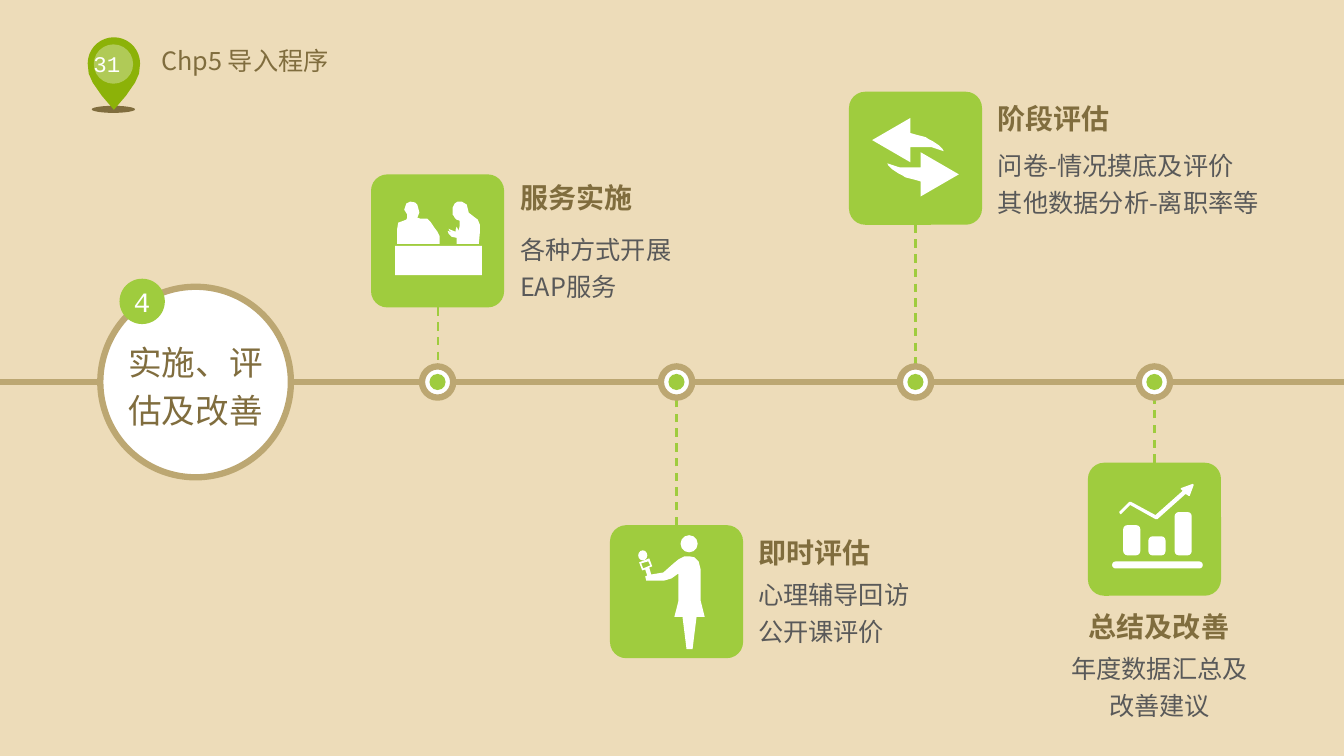
import math

from lxml import etree
from pptx import Presentation
from pptx.dml.color import RGBColor
from pptx.enum import dml, shapes, text
from pptx.oxml.ns import qn
from pptx.util import Inches, Pt

WIDTH, HEIGHT = 13.33, 7.5
AXIS_Y = 3.79
FIRST_X, STEP = 4.34, 2.37
TILE = 1.32
MARKER, DOT = 0.31, 0.16
UNIT = 0.01  # icon outlines are measured in hundredths of an inch from the tile corner
FINE = 10  # outline points are stored as whole tenths of a unit
COLORS = {"sand": "EDDCB9", "brown": "806D3E", "tan": "BCA772", "green": "9FCC3E",
          "pin": "8CB208", "white": "FFFFFF", "gray": "595959"}
CJK, MONO = "Noto Sans CJK SC", "Courier New"
OVAL = shapes.MSO_SHAPE.OVAL
ROUNDED = shapes.MSO_SHAPE.ROUNDED_RECTANGLE
RECTANGLE = shapes.MSO_SHAPE.RECTANGLE
CENTER = text.PP_ALIGN.CENTER

LISTENER = [(68, 61), (66, 57), (63, 53), (61, 50), (59, 47), (56, 44), (49, 44), (46, 43),
            (48, 38), (47, 34), (46, 30), (44, 28), (39, 27), (35, 29), (33, 35), (36, 40),
            (36, 43), (35, 45), (27, 48), (26, 54), (26, 69), (68, 69)]
SPEAKER = [(106, 45), (102, 42), (97, 38), (96, 34), (95, 30), (90, 27), (86, 27), (83, 29),
           (81, 33), (81, 40), (82, 41), (83, 43), (85, 45), (88, 46), (88, 51), (87, 56),
           (85, 52), (84, 55), (84, 57), (79, 55), (77, 54), (78, 56), (81, 58), (76, 56),
           (77, 59), (80, 62), (85, 63), (85, 69), (107, 69), (108, 58), (108, 50)]
REPORTER = [(90, 75), (90, 44), (88, 36), (84, 32), (79, 31), (74, 31), (68, 34), (62, 39),
            (53, 47), (41, 49), (39, 42), (42, 41), (39, 33), (29, 37), (32, 45), (35, 44),
            (37, 50), (35, 51), (36, 55), (54, 55), (61, 53), (68, 48), (68, 75), (64, 91),
            (72, 91), (76, 123), (82, 123), (86, 91), (94, 91)]
MICROPHONE_GAP = [(31, 38), (38, 36), (40, 40), (33, 43)]
ARROW = [(76, 45), (68, 43), (61, 41), (61, 26), (23, 48), (61, 70), (61, 55), (82, 55),
         (88, 57), (94, 59), (93, 57), (89, 53), (86, 51), (83, 49), (79, 47)]
TREND = [(33, 51), (42, 42), (67, 56), (69, 56), (97, 31), (100, 33), (101, 33), (105, 22),
         (104, 21), (93, 25), (92, 26), (94, 28), (67, 52), (43, 39), (41, 39), (31, 49),
         (32, 51)]


def color(name):
    return RGBColor.from_string(COLORS[name])


def paint(shape, fill, line=None):
    shape.shadow.inherit = False
    shape.fill.solid()
    shape.fill.fore_color.rgb = color(fill)
    if line:
        shape.line.color.rgb = color(line)
        shape.line.width = Pt(4.5)
    else:
        shape.line.fill.background()
    return shape


def add_preset(slide, kind, box, fill, line=None, corner=None):
    shape = slide.shapes.add_shape(kind, *map(Inches, box))
    if corner is not None:
        shape.adjustments[0] = corner
    return paint(shape, fill, line)


def add_centered(slide, kind, x, y, size, fill, line=None):
    return add_preset(slide, kind, (x - size / 2, y - size / 2, size, size), fill, line)


def add_outline(slide, left, top, contours, fill="white"):
    """Draw closed contours given in icon units from (left, top)."""
    placed = [[(round(x * FINE), round(y * FINE)) for x, y in contour]
              for contour in contours]
    builder = slide.shapes.build_freeform(*placed[0][0], scale=Inches(UNIT / FINE))
    builder.add_line_segments(placed[0][1:], close=True)
    for contour in placed[1:]:
        builder.move_to(*contour[0])
        builder.add_line_segments(contour[1:], close=True)
    return paint(builder.convert_to_shape(Inches(left), Inches(top)), fill)


def add_line(slide, start, end, name, width, dashed=False):
    line = slide.shapes.add_connector(shapes.MSO_CONNECTOR.STRAIGHT,
                                      *map(Inches, (*start, *end)))
    line.line.color.rgb = color(name)
    line.line.width = Pt(width)
    if dashed:
        line.line.dash_style = dml.MSO_LINE.DASH
    etree.SubElement(line._element.spPr, qn("a:effectLst"))
    return line


def write(shape, lines, size, name, font=CJK, bold=False, align=text.PP_ALIGN.LEFT,
          spacing=1.0, anchor=text.MSO_ANCHOR.TOP, margins=(0.1, 0.05, 0.1, 0.05)):
    frame = shape.text_frame
    frame.word_wrap = True
    frame.auto_size = text.MSO_AUTO_SIZE.NONE
    frame.vertical_anchor = anchor
    (frame.margin_left, frame.margin_top,
     frame.margin_right, frame.margin_bottom) = map(Inches, margins)
    frame.text = "\n".join(lines)
    for paragraph in frame.paragraphs:
        paragraph.alignment = align
        paragraph.line_spacing = spacing
        paragraph.font.size = Pt(size)
        paragraph.font.bold = bold
        paragraph.font.color.rgb = color(name)
        paragraph.font.name = font
        properties = paragraph._p.pPr.find(qn("a:defRPr"))
        etree.SubElement(properties, qn("a:ea")).set("typeface", font)


def add_text(slide, box, lines, size, name, **style):
    write(slide.shapes.add_textbox(*map(Inches, box)), lines, size, name, **style)


def add_header(slide, left, top):
    add_preset(slide, OVAL, (left + 0.04, top + 0.68, 0.43, 0.07), "brown")
    side = [(1, 36), (5, 45), (14, 58)]
    dome = [(26 - 26 * math.cos(math.radians(a)), 26 - 26 * math.sin(math.radians(a)))
            for a in range(0, 181, 10)]
    mirrored = [(52 - x, y) for x, y in side]
    add_outline(slide, left, top, [dome + mirrored + [(26, 72)] + side[::-1]], "pin")
    glow = add_preset(slide, OVAL, (left + 0.06, top + 0.07, 0.39, 0.39), "white")
    shade = glow._element.spPr.find(qn("a:solidFill"))[0]
    etree.SubElement(shade, qn("a:alpha")).set("val", "32000")
    add_text(slide, (left - 0.1, top + 0.08, 0.71, 0.37), ["31"], 16, "white",
             font=MONO, align=CENTER, margins=(0.1, 0.05, 0.23, 0.05))
    title = slide.shapes.title
    title.left, title.top, title.width, title.height = map(
        Inches, (left + 0.63, top + 0.03, 1.9, 0.7))
    write(title, ["Chp5 导入程序"], 18, "brown")


def add_stage(slide, x, y):
    middle = dict(align=CENTER, anchor=text.MSO_ANCHOR.MIDDLE, margins=(0, 0, 0, 0))
    circle = add_centered(slide, OVAL, x, y, 1.89, "white", "tan")
    write(circle, ["实施、评估及改善"], 24, "brown", spacing=1.2, **middle)
    badge = add_centered(slide, OVAL, x - 0.53, y - 0.8, 0.45, "green")
    write(badge, ["4"], 20, "white", font=MONO, **middle)


def draw_counselling(slide, left, top):
    add_outline(slide, left, top, [SPEAKER])
    add_outline(slide, left, top, [LISTENER])
    add_preset(slide, RECTANGLE, (left + 0.24, top + 0.71, 0.86, 0.29), "white")


def draw_reporter(slide, left, top):
    add_preset(slide, OVAL, (left + 0.7, top + 0.1, 0.17, 0.17), "white")
    add_preset(slide, OVAL, (left + 0.28, top + 0.25, 0.09, 0.1), "white")
    add_outline(slide, left, top, [REPORTER, MICROPHONE_GAP])


def draw_exchange(slide, left, top):
    add_outline(slide, left, top, [ARROW])
    add_outline(slide, left, top, [[(132 - x, 130 - y) for x, y in ARROW]])


def draw_growth(slide, left, top):
    for x, height in ((0.35, 0.3), (0.6, 0.19), (0.86, 0.43)):
        add_preset(slide, ROUNDED, (left + x, top + 0.92 - height, 0.17, height),
                   "white", corner=0.25)
    add_preset(slide, ROUNDED, (left + 0.24, top + 0.98, 0.9, 0.07), "white", corner=0.5)
    add_outline(slide, left, top, [TREND])


# tile top, icon, heading and its offset and width, body lines and their offset and width
STATIONS = [
    (1.73, draw_counselling, "服务实施", (1.38, -0.09, 1.65),
     ["各种方式开展EAP服务"], (1.38, 0.48, 1.89)),
    (5.21, draw_reporter, "即时评估", (1.37, -0.05, 2.37),
     ["心理辅导回访", "公开课评价"], (1.37, 0.42, 2.08)),
    (0.91, draw_exchange, "阶段评估", (1.37, -0.05, 1.65),
     ["问卷-情况摸底及评价", "其他数据分析-离职率等"], (1.38, 0.47, 3.2)),
    (4.59, draw_growth, "总结及改善", (-0.64, 1.37, 2.69),
     ["年度数据汇总及改善建议"], (-0.33, 1.78, 2.08)),
]


def add_station(slide, x, top, draw_icon, heading, heading_place, body, body_place):
    left = x - TILE / 2
    tile = add_preset(slide, ROUNDED, (left, top, TILE, TILE), "green", corner=0.122)
    above = top < AXIS_Y
    edge = top + TILE if above else top
    marker_edge = AXIS_Y + (-MARKER if above else MARKER) / 2
    stem = add_line(slide, (x, edge), (x, marker_edge), "green", 1.5, dashed=True)
    stem.begin_connect(tile, 2 if above else 0)
    add_centered(slide, OVAL, x, AXIS_Y, MARKER, "white", "tan")
    add_centered(slide, OVAL, x, AXIS_Y, DOT, "green")
    draw_icon(slide, left, top)
    below = heading_place[0] < 0
    align = CENTER if below else text.PP_ALIGN.LEFT
    for lines, (dx, dy, width), height, size, name, bold, spacing in (
            ([heading], heading_place, 0.5, 20, "brown", True, 1.12 if below else 1.3),
            (body, body_place, 0.84, 18, "gray", False, 1.22)):
        add_text(slide, (left + dx, top + dy, width, height), lines, size, name,
                 bold=bold, align=align, spacing=spacing)


def main():
    presentation = Presentation()
    presentation.slide_width, presentation.slide_height = Inches(WIDTH), Inches(HEIGHT)
    slide = presentation.slides.add_slide(presentation.slide_layouts[5])
    slide.background.fill.solid()
    slide.background.fill.fore_color.rgb = color("sand")
    add_header(slide, 0.87, 0.37)
    add_line(slide, (0, AXIS_Y), (WIDTH, AXIS_Y), "tan", 4.5)
    add_stage(slide, 1.94, AXIS_Y)
    for index, station in enumerate(STATIONS):
        add_station(slide, FIRST_X + index * STEP, *station)
    presentation.save("out.pptx")


if __name__ == "__main__":
    main()
